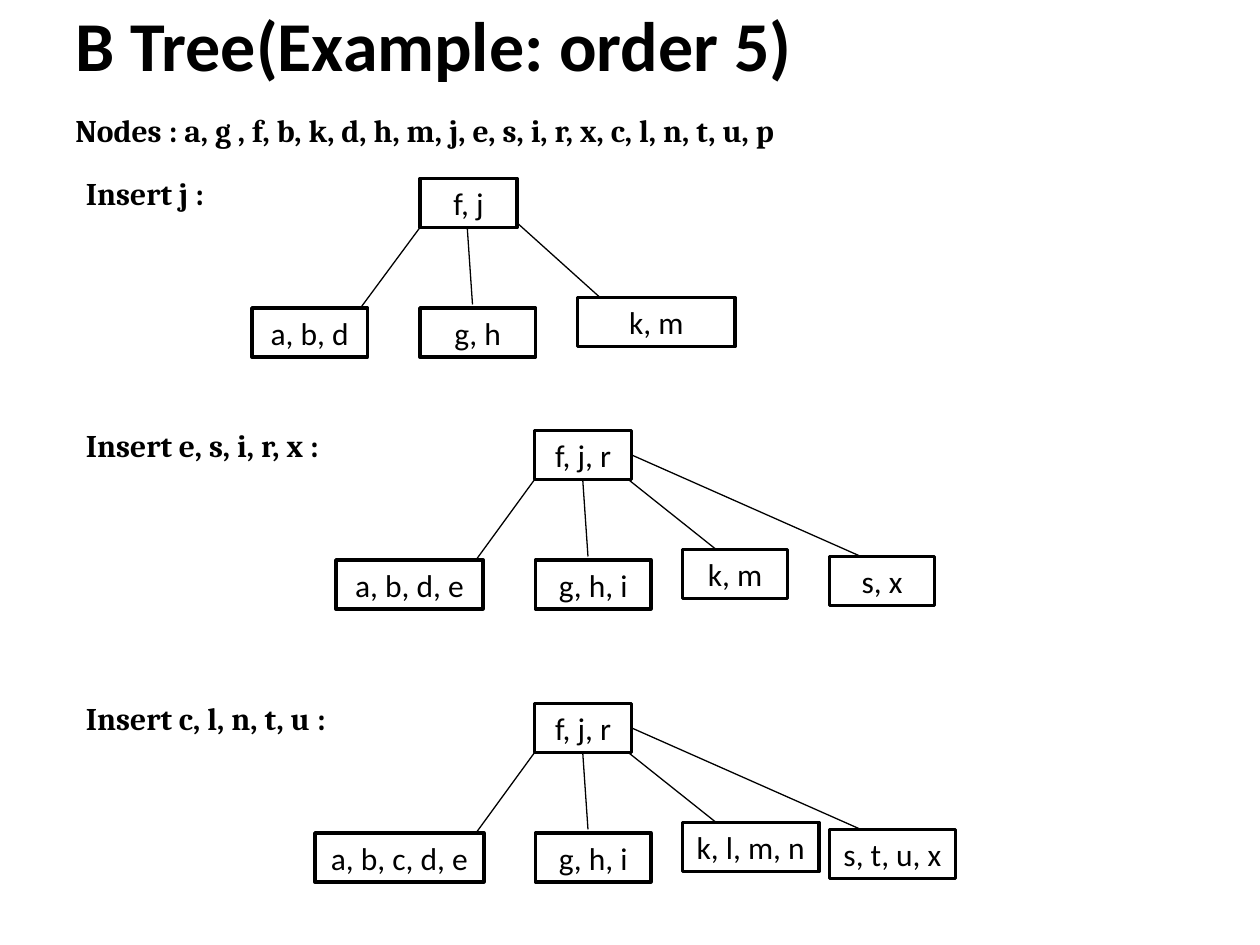
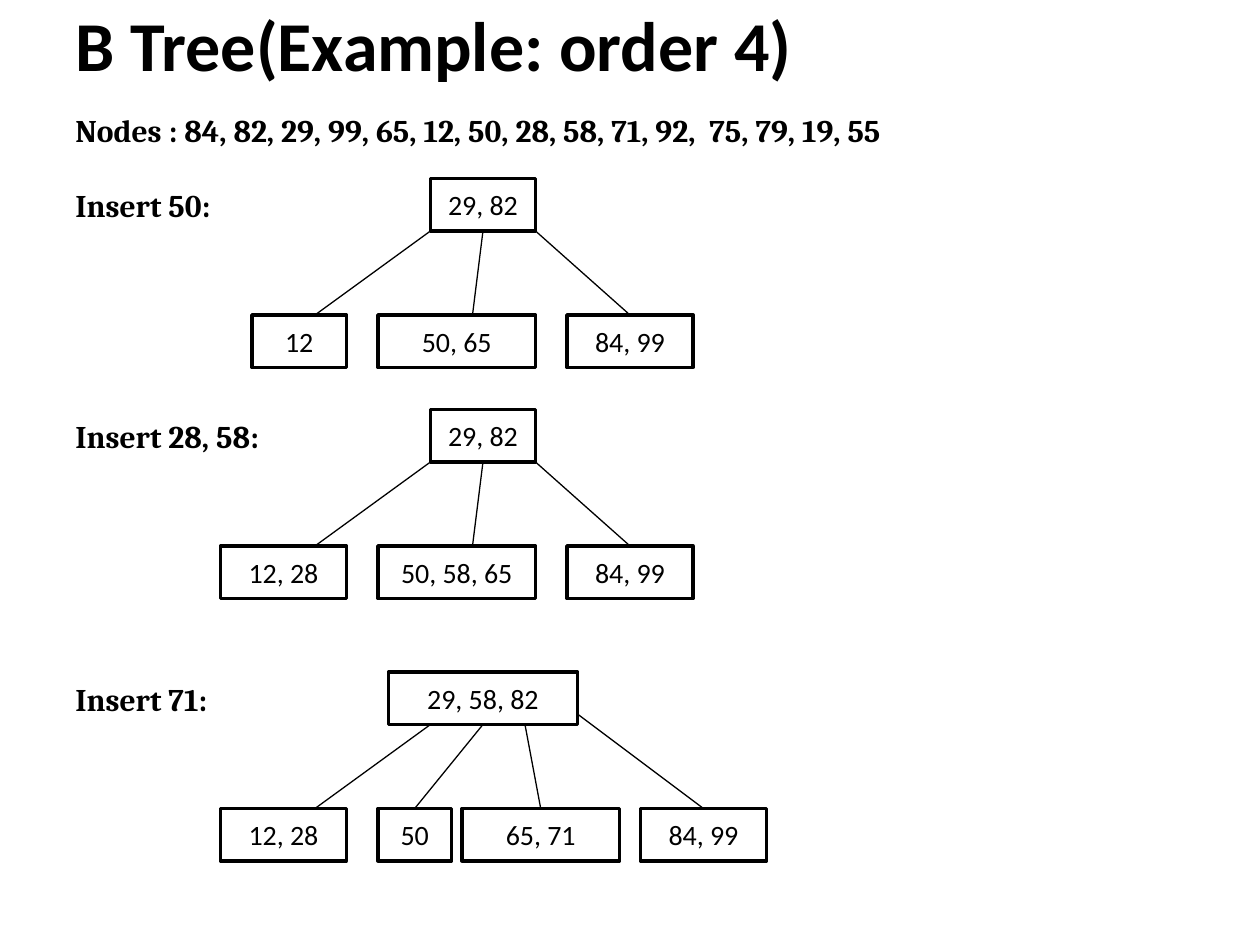
from dataclasses import dataclass
from typing import NamedTuple

import lxml.etree
import pptx
import pptx.dml.color
import pptx.enum.shapes
import pptx.enum.text
import pptx.oxml.ns
import pptx.util
from pptx.util import Pt

BLACK = pptx.dml.color.RGBColor(0x00, 0x00, 0x00)
WHITE = pptx.dml.color.RGBColor(0xFF, 0xFF, 0xFF)
SANS = "Calibri"
SERIF = "Cambria"
MARGIN = 36
TITLE_ONLY = 5
Align = pptx.enum.text.PP_ALIGN
Anchor = pptx.enum.text.MSO_ANCHOR


class Node(NamedTuple):
    """A tree node; drop is measured from the top of its tree."""
    text: str
    left: float
    width: float
    drop: float = 0


class Edge(NamedTuple):
    """A line from parent to child; y values count from the top of the tree."""
    start_x: float
    start_y: float
    end_x: float
    end_y: float


@dataclass
class Tree:
    caption: str
    top: float
    nodes: tuple[Node, ...]
    edges: tuple[Edge, ...]


@dataclass
class Example:
    title: str
    keys: str
    caption_left: float
    caption_shift: float
    node_height: float
    node_size: float
    trees: tuple[Tree, ...]


# Edge patterns and nodes that several trees share
ORDER_5_EDGES = (Edge(305.5, 28, 272, 74), Edge(333, 28, 336, 72),
                 Edge(354, 24, 410.5, 69), Edge(361, 14, 492, 72))
ORDER_4_EDGES = (Edge(246, 30, 180, 78), Edge(276, 30, 270, 78),
                 Edge(306, 30, 360, 78))
ROOT_FJR = Node("f, j, r", 305.5, 55.5)
LEAF_GHI = Node("g, h, i", 306, 66, 74)
ROOT_29_82 = Node("29, 82", 246, 60)
LEAF_12_28 = Node("12, 28", 126, 72, 78)
LEAF_84_99 = Node("84, 99", 324, 72, 78)

EXAMPLES = (
    Example(
        "B Tree(Example: order 5)",
        "Nodes : a, g , f, b, k, d, h, m, j, e, s, i, r, x, c, l, n, t, u, p",
        caption_left=42, caption_shift=-6, node_height=28, node_size=18,
        trees=(
            Tree("Insert j :", 102,
                 (Node("f, j", 240, 55.5), Node("a, b, d", 144, 66, 74),
                  Node("g, h", 240, 66, 74), Node("k, m", 330, 90, 68)),
                 (Edge(240, 28, 206, 74), Edge(267, 28, 270, 72),
                  Edge(294, 24, 344, 69))),
            Tree("Insert e, s, i, r, x :", 246,
                 (ROOT_FJR, Node("a, b, d, e", 192, 84, 74), LEAF_GHI,
                  Node("k, m", 390, 60, 68), Node("s, x", 474, 60, 72)),
                 ORDER_5_EDGES),
            Tree("Insert c, l, n, t, u :", 402,
                 (ROOT_FJR, Node("a, b, c, d, e", 180, 96.5, 74), LEAF_GHI,
                  Node("k, l, m, n", 390, 78, 68),
                  Node("s, t, u, x", 474, 72, 72)),
                 ORDER_5_EDGES),
        ),
    ),
    Example(
        "B Tree(Example: order 4)",
        "Nodes : 84, 82, 29, 99, 65, 12, 50, 28, 58, 71, 92,  75, 79, 19, 55",
        caption_left=MARGIN, caption_shift=1, node_height=30, node_size=16,
        trees=(
            Tree("Insert 50:", 102,
                 (ROOT_29_82, Node("12", 144, 54, 78),
                  Node("50, 65", 216, 90, 78), LEAF_84_99),
                 ORDER_4_EDGES),
            Tree("Insert 28, 58:", 234,
                 (ROOT_29_82, LEAF_12_28,
                  Node("50, 58, 65", 216, 90, 78), LEAF_84_99),
                 ORDER_4_EDGES),
            Tree("Insert 71:", 384,
                 (Node("29, 58, 82", 222, 108), LEAF_12_28,
                  Node("50", 216, 42, 78), Node("65, 71", 264, 90, 78),
                  LEAF_84_99._replace(left=366)),
                 (Edge(246, 30, 180, 78), Edge(276, 30, 237, 78),
                  Edge(300, 30, 309, 78), Edge(330, 24, 402, 78))),
        ),
    ),
)


def write(frame, text: str, font: str, size: float, align, bold: bool = False) -> None:
    """Fill a text frame with one formatted paragraph."""
    frame.word_wrap = True
    para = frame.paragraphs[0]
    para.text = text
    para.alignment = align
    para.font.name = font
    para.font.size = Pt(size)
    para.font.bold = bold
    para.font.color.rgb = BLACK


def add_title(page, text: str) -> None:
    title = page.shapes.title
    title.left, title.top = Pt(MARGIN), Pt(6)
    title.width, title.height = Pt(666), Pt(38)
    title.text_frame.auto_size = pptx.enum.text.MSO_AUTO_SIZE.NONE
    title.text_frame.vertical_anchor = Anchor.MIDDLE
    write(title.text_frame, text, SANS, 40, Align.LEFT, bold=True)


def add_label(page, text: str, left: float, top: float, width: float) -> None:
    box = page.shapes.add_textbox(Pt(left), Pt(top), Pt(width), Pt(29))
    write(box.text_frame, text, SERIF, 18, Align.JUSTIFY, bold=True)
    box.text_frame.auto_size = pptx.enum.text.MSO_AUTO_SIZE.SHAPE_TO_FIT_TEXT


def add_edge(group, edge: Edge, top: float) -> None:
    line = group.shapes.add_connector(
        pptx.enum.shapes.MSO_CONNECTOR.STRAIGHT,
        Pt(edge.start_x), Pt(top + edge.start_y),
        Pt(edge.end_x), Pt(top + edge.end_y))
    line.line.color.rgb = BLACK
    line.line.width = Pt(0.75)
    lxml.etree.SubElement(line._element.spPr, pptx.oxml.ns.qn("a:effectLst"))


def add_node(group, node: Node, top: float, height: float, size: float) -> None:
    box = group.shapes.add_shape(
        pptx.enum.shapes.MSO_SHAPE.RECTANGLE,
        Pt(node.left), Pt(top + node.drop), Pt(node.width), Pt(height))
    box.shadow.inherit = False
    box.fill.solid()
    box.fill.fore_color.rgb = WHITE
    box.line.color.rgb = BLACK
    box.line.width = Pt(2)
    box.text_frame.vertical_anchor = Anchor.MIDDLE
    write(box.text_frame, node.text, SANS, size, Align.CENTER)


def add_example(deck, example: Example) -> None:
    page = deck.slides.add_slide(deck.slide_layouts[TITLE_ONLY])
    add_title(page, example.title)
    add_label(page, example.keys, MARGIN, 60, 654)
    for tree in example.trees:
        add_label(page, tree.caption, example.caption_left,
                  tree.top + example.caption_shift, 216)
        # Edges go first so that the boxes cover their ends
        group = page.shapes.add_group_shape()
        for edge in tree.edges:
            add_edge(group, edge, tree.top)
        for node in tree.nodes:
            add_node(group, node, tree.top, example.node_height, example.node_size)


def main() -> None:
    deck = pptx.Presentation()
    deck.slide_width, deck.slide_height = Pt(720), Pt(540)
    for example in EXAMPLES:
        add_example(deck, example)
    deck.save("out.pptx")


if __name__ == "__main__":
    main()
